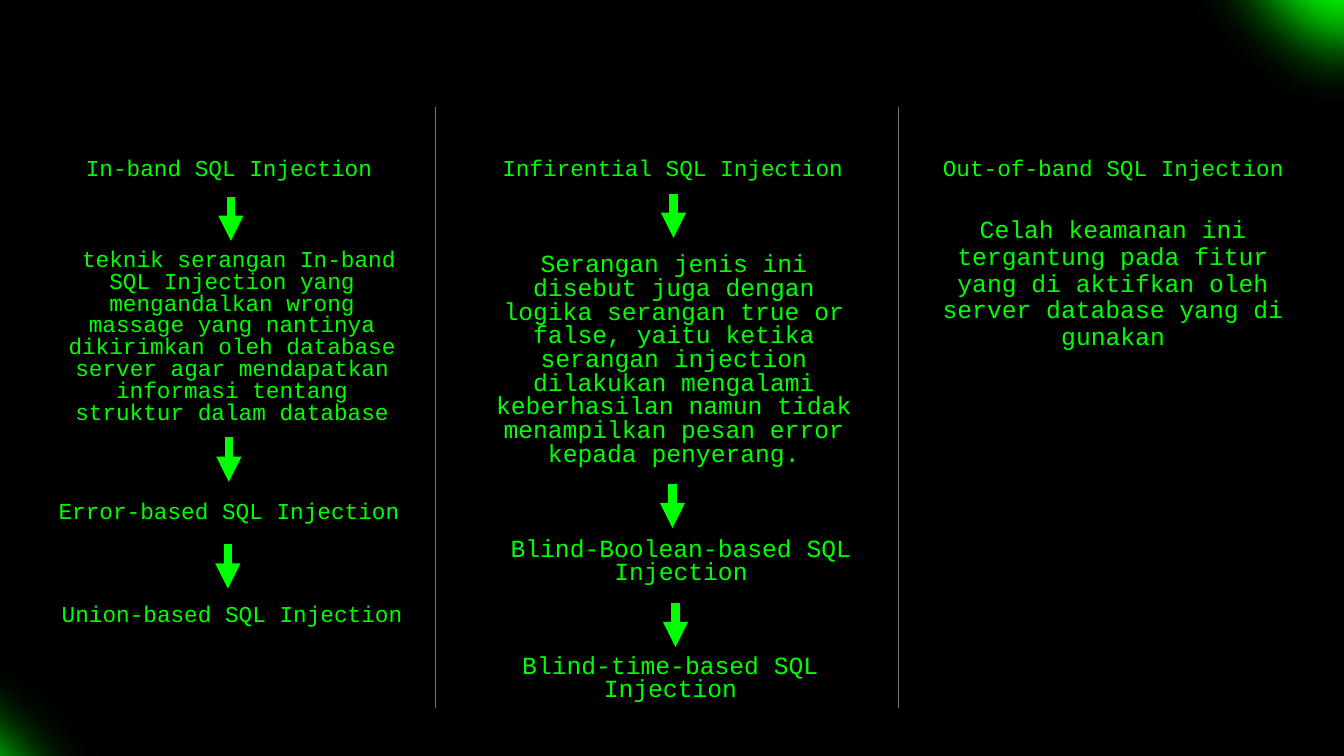
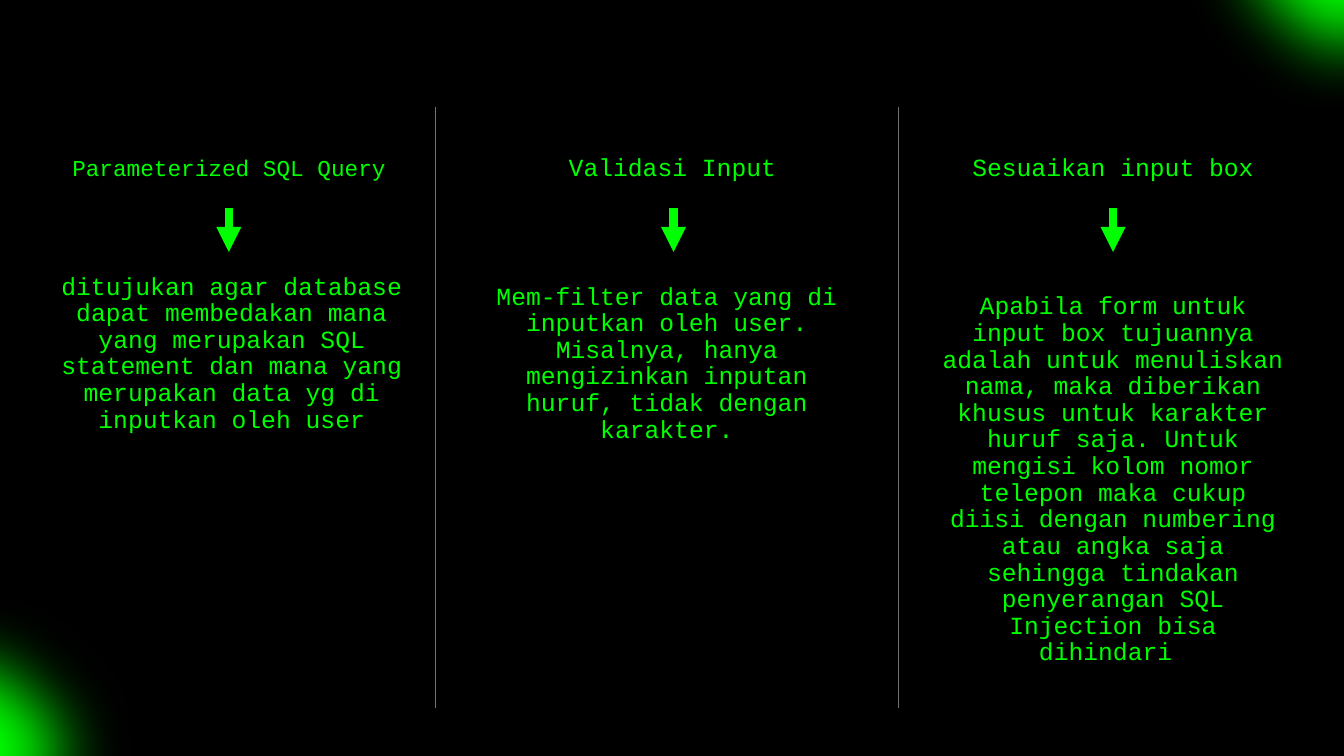
from pptx import Presentation
from pptx.dml.color import RGBColor as Rgb
from pptx.enum.shapes import MSO_CONNECTOR as Conn, MSO_SHAPE as Shape
from pptx.enum.text import MSO_ANCHOR as Anchor, PP_ALIGN as Align
from pptx.oxml.ns import qn
from pptx.util import Inches, Pt
from lxml.etree import SubElement as Sub

HUES = {"back": "000000", "neon": "00FF00", "rule": "767171", "edge": "325491"}
FONT = "Courier New"
SMALL, LARGE = 16.2, 17.6
TIGHT = 0.8
WIDE = 3.77


def add_text(slide, text, left, top, high, wide=3.6, size=LARGE, gap=0.9):
    box = slide.shapes.add_textbox(Inches(left), Inches(top), Inches(wide), Inches(high))
    frame = box.text_frame
    frame.word_wrap = True
    frame.vertical_anchor = Anchor.BOTTOM
    para = frame.paragraphs[0]
    para.alignment = Align.CENTER
    para.line_spacing = gap
    run = para.add_run()
    run.text = text
    run.font.name = FONT
    run.font.size = Pt(size)
    run.font.color.rgb = Rgb.from_string(HUES["neon"])


def add_line(slide, x, top, end, hue, width, arrow=False):
    line = slide.shapes.add_connector(Conn.STRAIGHT, Inches(x), Inches(top), Inches(x), Inches(end))
    line.line.color.rgb = Rgb.from_string(HUES[hue])
    line.line.width = Pt(width)
    props = line._element.spPr
    if arrow:
        Sub(props.find(qn("a:ln")), qn("a:tailEnd"), type="triangle")
    Sub(props, qn("a:effectLst"))


# Each slide: lower glow corner, texts, arrow positions
slides = [
    {
        "glow": (-2.37, 6.23),
        "texts": [
            # In-band column
            ("In-band SQL Injection", 0.47, 1.5, 0.35, {"size": SMALL}),
            (" teknik serangan In-band SQL Injection yang mengandalkan wrong massage "
             "yang nantinya dikirimkan oleh database server agar mendapatkan informasi "
             "tentang struktur dalam database", 0.5, 2.39, 1.87, {"size": SMALL, "gap": TIGHT}),
            ("Error-based SQL Injection", 0.47, 4.9, 0.35, {"size": SMALL}),
            ("Union-based SQL Injection", 0.5, 5.92, 0.35, {"size": SMALL}),
            # Inferential column
            ("Infirential SQL Injection", 4.87, 1.5, 0.35, {"size": SMALL}),
            ("Serangan jenis ini disebut juga dengan logika serangan true or false, "
             "yaitu ketika serangan injection dilakukan mengalami keberhasilan namun "
             "tidak menampilkan pesan error kepada penyerang.",
             4.8, 2.33, 2.35, {"wide": WIDE, "gap": TIGHT}),
            ("Blind-Boolean-based SQL Injection", 4.87, 5.26, 0.6, {"wide": WIDE, "gap": TIGHT}),
            ("Blind-time-based SQL Injection", 4.8, 6.42, 0.6, {"wide": 3.7, "gap": TIGHT}),
            # Out-of-band column
            ("Out-of-band SQL Injection", 9.24, 1.5, 0.35, {"size": SMALL}),
            ("Celah keamanan ini tergantung pada fitur yang di aktifkan oleh server "
             "database yang di gunakan", 9.24, 2.06, 1.47, {}),
        ],
        "arrows": [(2.29, 1.95), (2.27, 4.34), (2.26, 5.4),
                   (6.68, 1.92), (6.67, 4.8), (6.7, 5.98)],
    },
    {
        "glow": (-2.11, 5.73),
        "texts": [
            # Parameterized query column
            ("Parameterized SQL Query", 0.47, 1.5, 0.35, {"size": SMALL}),
            ("ditujukan agar database dapat membedakan mana yang merupakan SQL statement "
             "dan mana yang merupakan data yg di inputkan oleh user", 0.5, 2.5, 1.85, {}),
            # Validation column
            ("Validasi Input", 4.87, 1.5, 0.35, {"gap": TIGHT}),
            ("Mem-filter data yang di inputkan oleh user. Misalnya, hanya mengizinkan "
             "inputan huruf, tidak dengan karakter.", 4.73, 2.71, 1.74, {"wide": WIDE}),
            # Input box column
            ("Sesuaikan input box", 9.24, 1.5, 0.35, {"gap": TIGHT}),
            ("Apabila form untuk input box tujuannya adalah untuk menuliskan nama, maka "
             "diberikan khusus untuk karakter huruf saja. Untuk mengisi kolom nomor telepon "
             "maka cukup diisi dengan numbering atau angka saja sehingga tindakan "
             "penyerangan SQL Injection bisa dihindari ", 9.24, 2.71, 3.95, {}),
        ],
        "arrows": [(2.27, 2.06), (6.68, 2.06), (11.04, 2.06)],
    },
]

deck = Presentation()
deck.slide_width, deck.slide_height = Inches(13.33), Inches(7.5)

for data in slides:
    slide = deck.slides.add_slide(deck.slide_layouts[6])
    fill = slide.background.fill
    fill.solid()
    fill.fore_color.rgb = Rgb.from_string(HUES["back"])

    # Soft glows in two corners
    for left, top in (data["glow"], (11.53, -2.12)):
        glow = slide.shapes.add_shape(Shape.OVAL, Inches(left), Inches(top), Inches(3.6), Inches(3.42))
        glow.fill.solid()
        glow.fill.fore_color.rgb = Rgb.from_string(HUES["neon"])
        glow.line.color.rgb = Rgb.from_string(HUES["edge"])
        glow.line.width = Pt(1)
        glow.shadow.inherit = False
        soft = glow._element.spPr.find(qn("a:effectLst"))
        Sub(soft, qn("a:softEdge"), rad=str(Pt(50)))

    # Column rules
    for x in (4.32, 8.91):
        add_line(slide, x, 1.06, 7.02, "rule", 0.5)

    # Texts and arrows
    for text, left, top, high, style in data["texts"]:
        add_text(slide, text, left, top, high, **style)
    for x, top in data["arrows"]:
        add_line(slide, x, top, top + 0.44, "neon", 6, arrow=True)

deck.save("out.pptx")
